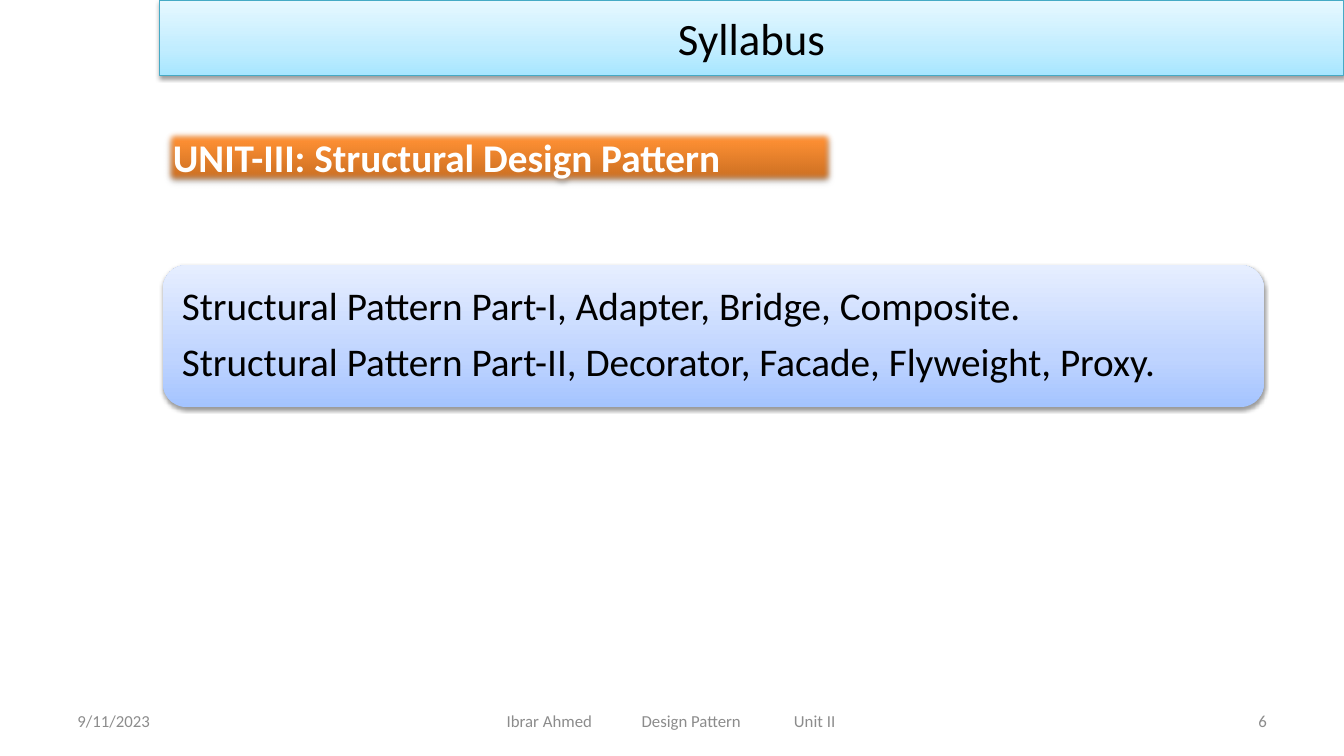
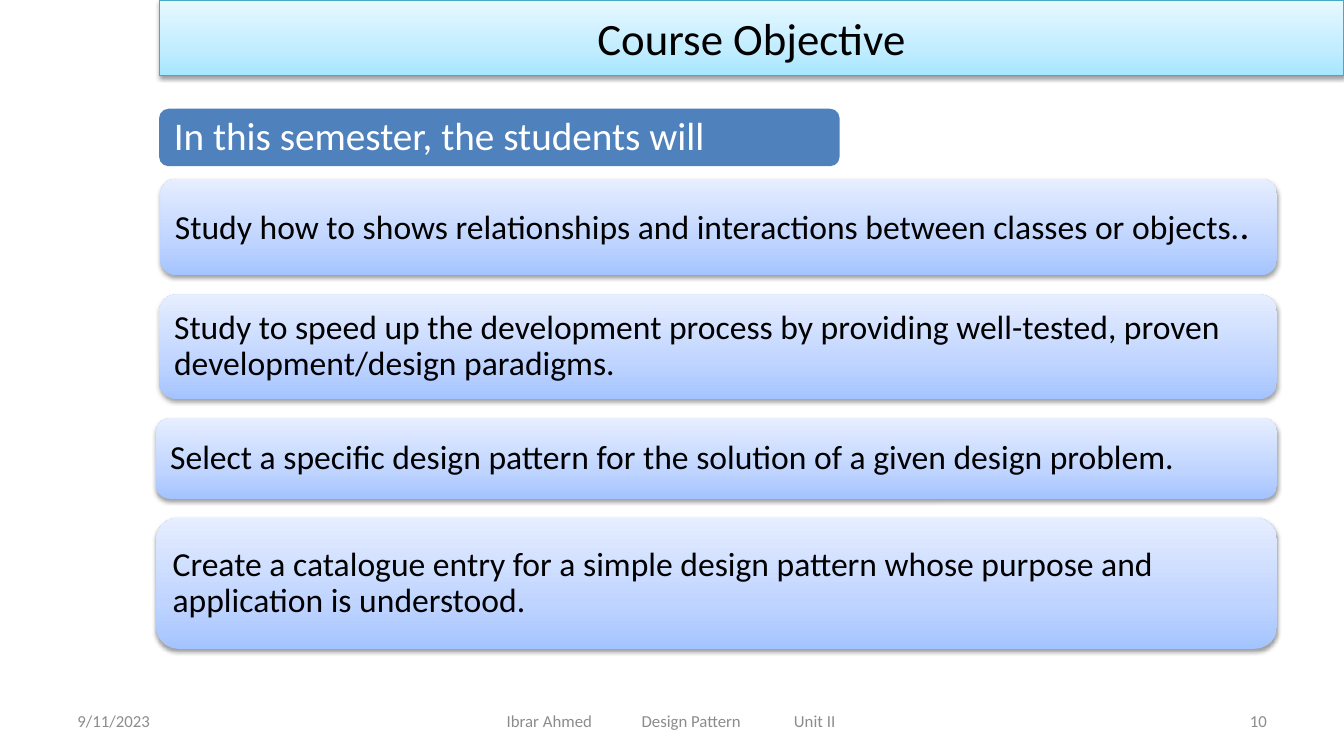
from copy import deepcopy

from lxml import etree
from pptx import Presentation
from pptx.dml.color import RGBColor
from pptx.enum.shapes import MSO_SHAPE, PP_PLACEHOLDER
from pptx.enum.text import MSO_ANCHOR, PP_ALIGN
from pptx.oxml.ns import qn
from pptx.util import Cm, Pt

RECT, ROUNDED = MSO_SHAPE.RECTANGLE, MSO_SHAPE.ROUNDED_RECTANGLE
LEFT, CENTER, RIGHT, JUSTIFY = (PP_ALIGN.LEFT, PP_ALIGN.CENTER,
                                PP_ALIGN.RIGHT, PP_ALIGN.JUSTIFY)
TOP, MIDDLE = MSO_ANCHOR.TOP, MSO_ANCHOR.MIDDLE
DATE, FOOTER, NUMBER = (PP_PLACEHOLDER.DATE, PP_PLACEHOLDER.FOOTER,
                        PP_PLACEHOLDER.SLIDE_NUMBER)

FONT = "Calibri"
BLACK = RGBColor(0x00, 0x00, 0x00)
WHITE = RGBColor(0xFF, 0xFF, 0xFF)
GRAY = RGBColor(0x8C, 0x8C, 0x8C)
BLUE = RGBColor(0x4F, 0x81, 0xBD)
TEAL = RGBColor(0x46, 0xAA, 0xC5)

# Gradients run from bottom to top: (position in percent, colour)
CYAN_STOPS = [(0, RGBColor(0xA7, 0xE6, 0xFF)), (35, RGBColor(0xC1, 0xED, 0xFF)),
              (100, RGBColor(0xE7, 0xF8, 0xFF))]
CARD_STOPS = [(0, RGBColor(0xA4, 0xC4, 0xFF)), (35, RGBColor(0xBF, 0xD4, 0xFF)),
              (100, RGBColor(0xE6, 0xEE, 0xFF))]
ORANGE_STOPS = [(0, RGBColor(0xC2, 0x69, 0x1F)), (80, RGBColor(0xFF, 0x90, 0x34)),
                (100, RGBColor(0xFF, 0x91, 0x36))]

# A paragraph is a list of (text, size) runs
UNIT = [("UNIT-III: Structural Design Pattern", 28)]
PATTERNS = [
    [("Structural Pattern Part-I, Adapter, Bridge, Composite.", 28)],
    [("Structural Pattern Part-II, Decorator, Facade, Flyweight, Proxy.", 28)],
]
INTRO = [("In this semester, the students will", 28)]
# Card left and height in cm, then its paragraph
OBJECTIVES = [
    (4.04, 2.44, [("Study how to shows relationships and interactions between "
                   "classes or objects.", 24), (".", 28)]),
    (4.01, 2.64, [("Study to speed up the development process by providing "
                   "well-tested, proven development/design paradigms.", 24)]),
    (3.94, 2.03, [("Select a specific design pattern for the solution of a "
                   "given design problem.", 24)]),
    (3.94, 3.3, [("Create a catalogue entry for a simple design pattern whose "
                  "purpose and application is understood.", 24)]),
]
CARDS_TOP, CARDS_RIGHT, CARD_GAP = 4.5, 32.18, 0.48

TITLE_BOX = (4.01, 0, 29.86, 1.9)
FOOTER_TOP, FOOTER_HEIGHT = 17.65, 1.02
# Left, width, alignment
FOOTERS = {DATE: (1.7, 7.9, LEFT), FOOTER: (11.58, 10.72, LEFT),
           NUMBER: (24.28, 7.9, RIGHT)}
DATE_TEXT = "9/11/2023"
FOOTER_TEXT = "Ibrar Ahmed\tDesign Pattern\tUnit II"
FOOTER_INDENT, FOOTER_TABS = 1.19, (3.4, 7.24)


def place(sp, left, top, width, height):
    sp.left, sp.top, sp.width, sp.height = map(Cm, (left, top, width, height))


def style_run(r, size, color, bold=False):
    r.font.name, r.font.size, r.font.bold = FONT, Pt(size), bold
    r.font.color.rgb = color


def fill_gradient(sp, stops):
    sp.fill.gradient()
    sp.fill.gradient_angle = 90
    gs_list = sp.element.spPr.find(".//" + qn("a:gsLst"))
    for gs in list(gs_list):
        gs_list.remove(gs)
    for position, color in stops:
        gs = etree.SubElement(gs_list, qn("a:gs"), pos=str(position * 1000))
        etree.SubElement(gs, qn("a:srgbClr"), val=str(color))


def add_shadow(sp, alpha=38, distance=1.6, soft_edge=None):
    sp.shadow.inherit = False
    effects = sp.element.spPr.find(qn("a:effectLst"))
    shadow = etree.SubElement(effects, qn("a:outerShdw"), blurRad=str(Pt(3.1)),
                              dist=str(Pt(distance)), dir="5400000", rotWithShape="0")
    color = etree.SubElement(shadow, qn("a:srgbClr"), val=str(BLACK))
    etree.SubElement(color, qn("a:alpha"), val=str(alpha * 1000))
    if soft_edge:
        etree.SubElement(effects, qn("a:softEdge"), rad=str(Pt(soft_edge)))


def add_box(slide, kind, box, paragraphs, color, inset=0.25, anchor=MIDDLE,
            align=LEFT, bold=False):
    """Add an unfilled, borderless shape holding the paragraphs."""
    sp = slide.shapes.add_shape(kind, *map(Cm, box))
    sp.shadow.inherit = False
    sp.line.fill.background()
    tf = sp.text_frame
    tf.word_wrap, tf.vertical_anchor = True, anchor
    tf.margin_left = tf.margin_right = Cm(inset)
    tf.margin_top = tf.margin_bottom = Cm(inset if kind == ROUNDED else 0.13)
    for i, runs in enumerate(paragraphs):
        p = tf.paragraphs[0] if i == 0 else tf.add_paragraph()
        p.alignment = align
        if kind == ROUNDED:
            p.line_spacing, p.space_after = 0.9, Pt(9.8)
        for text, size in runs:
            r = p.add_run()
            r.text = text
            style_run(r, size, color, bold)
    return sp


def add_card(slide, box, paragraphs, inset=0.25):
    sp = add_box(slide, ROUNDED, box, paragraphs, BLACK, inset)
    fill_gradient(sp, CARD_STOPS)
    add_shadow(sp)


def add_footers(slide, number):
    """Give the slide its own date, footer and number placeholders."""
    texts = {DATE: DATE_TEXT, FOOTER: FOOTER_TEXT, NUMBER: str(number)}
    for source in slide.slide_layout.placeholders:
        if source.placeholder_format.type in FOOTERS:
            slide.shapes.element.append(deepcopy(source.element))
    for sp in slide.placeholders:
        kind = sp.placeholder_format.type
        if kind not in FOOTERS:
            continue
        left, width, align = FOOTERS[kind]
        place(sp, left, FOOTER_TOP, width, FOOTER_HEIGHT)
        tf = sp.text_frame
        tf.text = texts[kind]
        tf.vertical_anchor = MIDDLE
        p = tf.paragraphs[0]
        p.alignment = align
        if kind == FOOTER:
            tf.margin_left = Cm(FOOTER_INDENT)
            tabs = etree.SubElement(p._p.get_or_add_pPr(), qn("a:tabLst"))
            for stop in FOOTER_TABS:
                etree.SubElement(tabs, qn("a:tab"), pos=str(Cm(stop)), algn="l")
        for r in p.runs:
            style_run(r, 12, GRAY)


def add_slide(prs, title, number):
    slide = prs.slides.add_slide(prs.slide_layouts[5])
    sp = slide.shapes.title
    place(sp, *TITLE_BOX)
    fill_gradient(sp, CYAN_STOPS)
    sp.line.color.rgb, sp.line.width = TEAL, Pt(0.75)
    add_shadow(sp)
    tf = sp.text_frame
    tf.text = title
    tf.vertical_anchor = MIDDLE
    tf.paragraphs[0].alignment = CENTER
    style_run(tf.paragraphs[0].runs[0], 32, BLACK)
    add_footers(slide, number)
    return slide


def build_syllabus(prs):
    slide = add_slide(prs, "Syllabus", 6)
    sp = add_box(slide, RECT, (4.11, 3.23, 16.94, 1.45), [UNIT], WHITE,
                 anchor=TOP, align=JUSTIFY, bold=True)
    fill_gradient(sp, ORANGE_STOPS)
    add_shadow(sp, alpha=35, distance=1.8, soft_edge=5)
    add_card(slide, (4.11, 6.68, 27.74, 3.58), PATTERNS, inset=0.3)


def build_objectives(prs):
    slide = add_slide(prs, "Course Objective", 10)
    sp = add_box(slide, ROUNDED, (4.01, 2.74, 17.15, 1.45), [INTRO], WHITE, inset=0.3)
    sp.fill.solid()
    sp.fill.fore_color.rgb = BLUE
    top = CARDS_TOP
    for left, height, runs in OBJECTIVES:
        add_card(slide, (left, top, CARDS_RIGHT - left, height), [runs])
        top += height + CARD_GAP


def main():
    prs = Presentation()
    prs.slide_width, prs.slide_height = Cm(33.87), Cm(19.05)
    build_syllabus(prs)
    build_objectives(prs)
    prs.save("out.pptx")


if __name__ == "__main__":
    main()
